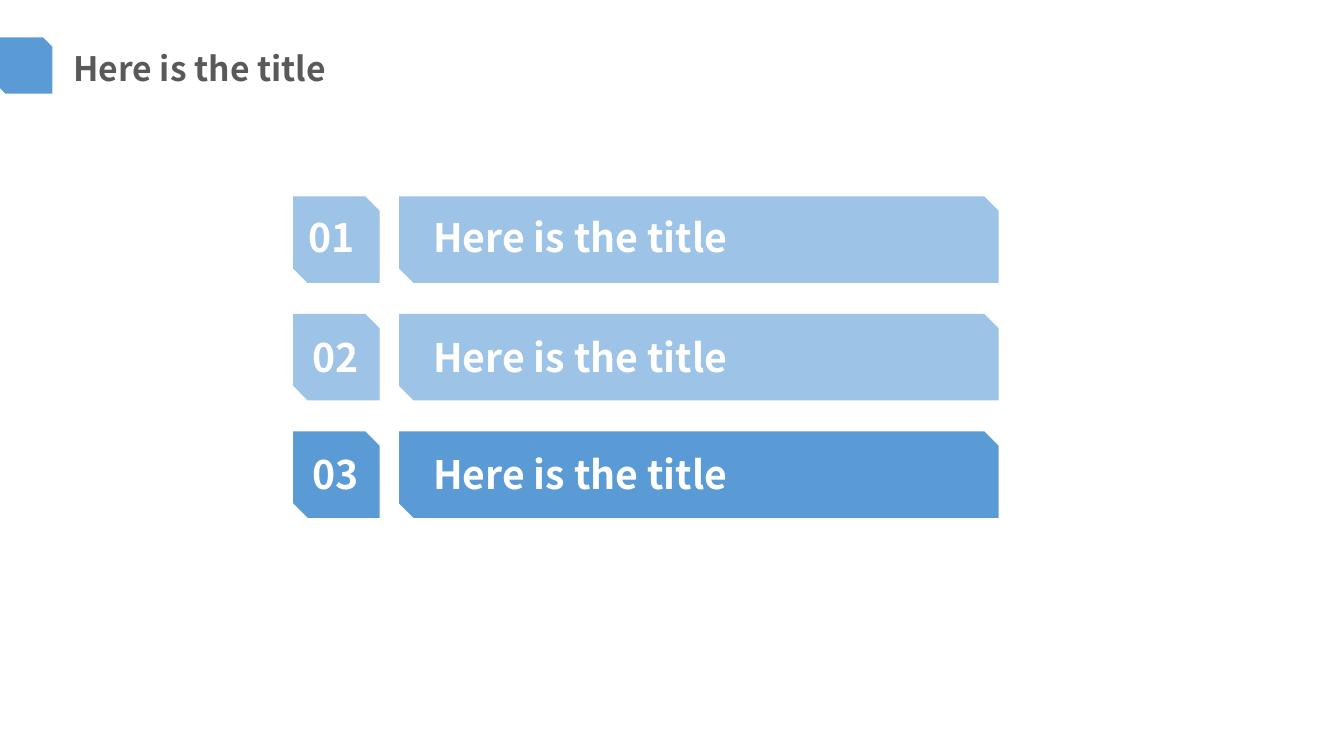
from dataclasses import dataclass

from pptx import Presentation
from pptx.dml.color import RGBColor
from pptx.enum.shapes import MSO_SHAPE
from pptx.enum.text import MSO_ANCHOR, MSO_AUTO_SIZE, PP_ALIGN
from pptx.slide import Slide
from pptx.text.text import TextFrame
from pptx.util import Cm, Pt

SNIPPED = MSO_SHAPE.SNIP_2_DIAG_RECTANGLE
LEFT = PP_ALIGN.LEFT
TOP = MSO_ANCHOR.TOP
NO_FIT = MSO_AUTO_SIZE.NONE
TITLE_ONLY = 5


@dataclass(frozen=True)
class Theme:
    font: str = "Noto Sans CJK SC"
    active: RGBColor = RGBColor(0x5B, 0x9B, 0xD5)
    muted: RGBColor = RGBColor(0x9D, 0xC3, 0xE6)
    heading: RGBColor = RGBColor(0x59, 0x59, 0x59)
    label: RGBColor = RGBColor(0xFF, 0xFF, 0xFF)
    heading_size: float = 24
    label_size: float = 28


@dataclass(frozen=True)
class Box:
    left: float
    top: float
    width: float
    height: float

    def lengths(self) -> tuple[Cm, Cm, Cm, Cm]:
        return Cm(self.left), Cm(self.top), Cm(self.width), Cm(self.height)


@dataclass(frozen=True)
class AgendaItem:
    number: str
    caption: str
    fill: RGBColor
    number_left: float
    text_drop: float


THEME = Theme()
HEADING = "Here is the title"
HEADING_BOX = Box(1.6, 1.09, 7.06, 1.27)
HEADING_MARK = Box(-0.1, 0.94, 1.42, 1.42)

FIRST_TOP, PITCH, BAR_HEIGHT = 4.95, 2.96, 2.18
NUMBER_BAR_LEFT = 7.39
CAPTION_BAR_LEFT, CAPTION_BAR_WIDTH = 10.06, 15.11
NUMBER_WIDTH = 1.73
CAPTION_LEFT, CAPTION_WIDTH = 10.67, 8.15
TEXT_HEIGHT = 1.45

AGENDA = [
    AgendaItem("01", "Here is the title", THEME.muted, 7.52, 0.31),
    AgendaItem("02", "Here is the title", THEME.muted, 7.62, 0.37),
    AgendaItem("03", "Here is the title", THEME.active, 7.62, 0.36),
]


def write_text(frame: TextFrame, text: str, size: float, color: RGBColor) -> None:
    frame.word_wrap = False
    frame.auto_size = NO_FIT
    frame.vertical_anchor = TOP
    paragraph = frame.paragraphs[0]
    paragraph.alignment = LEFT
    run = paragraph.add_run()
    run.text = text
    run.font.name = THEME.font
    run.font.size = Pt(size)
    run.font.bold = True
    run.font.color.rgb = color


def add_bar(slide: Slide, box: Box, fill: RGBColor) -> None:
    bar = slide.shapes.add_shape(SNIPPED, *box.lengths())
    bar.shadow.inherit = False
    bar.fill.solid()
    bar.fill.fore_color.rgb = fill
    bar.line.fill.background()


def add_label(slide: Slide, box: Box, text: str) -> None:
    label = slide.shapes.add_textbox(*box.lengths())
    write_text(label.text_frame, text, THEME.label_size, THEME.label)


def add_heading(slide: Slide) -> None:
    add_bar(slide, HEADING_MARK, THEME.active)
    title = slide.shapes.title
    title.left, title.top, title.width, title.height = HEADING_BOX.lengths()
    write_text(title.text_frame, HEADING, THEME.heading_size, THEME.heading)


def add_agenda_item(slide: Slide, item: AgendaItem, top: float) -> None:
    text_top = top + item.text_drop
    add_bar(slide, Box(NUMBER_BAR_LEFT, top, BAR_HEIGHT, BAR_HEIGHT), item.fill)
    add_bar(slide, Box(CAPTION_BAR_LEFT, top, CAPTION_BAR_WIDTH, BAR_HEIGHT), item.fill)
    add_label(slide, Box(item.number_left, text_top, NUMBER_WIDTH, TEXT_HEIGHT), item.number)
    add_label(slide, Box(CAPTION_LEFT, text_top, CAPTION_WIDTH, TEXT_HEIGHT), item.caption)


def main() -> None:
    presentation = Presentation()
    presentation.slide_width = Cm(33.87)
    presentation.slide_height = Cm(19.05)
    slide = presentation.slides.add_slide(presentation.slide_layouts[TITLE_ONLY])
    add_heading(slide)
    for index, item in enumerate(AGENDA):
        add_agenda_item(slide, item, FIRST_TOP + index * PITCH)
    presentation.save("out.pptx")


if __name__ == "__main__":
    main()
